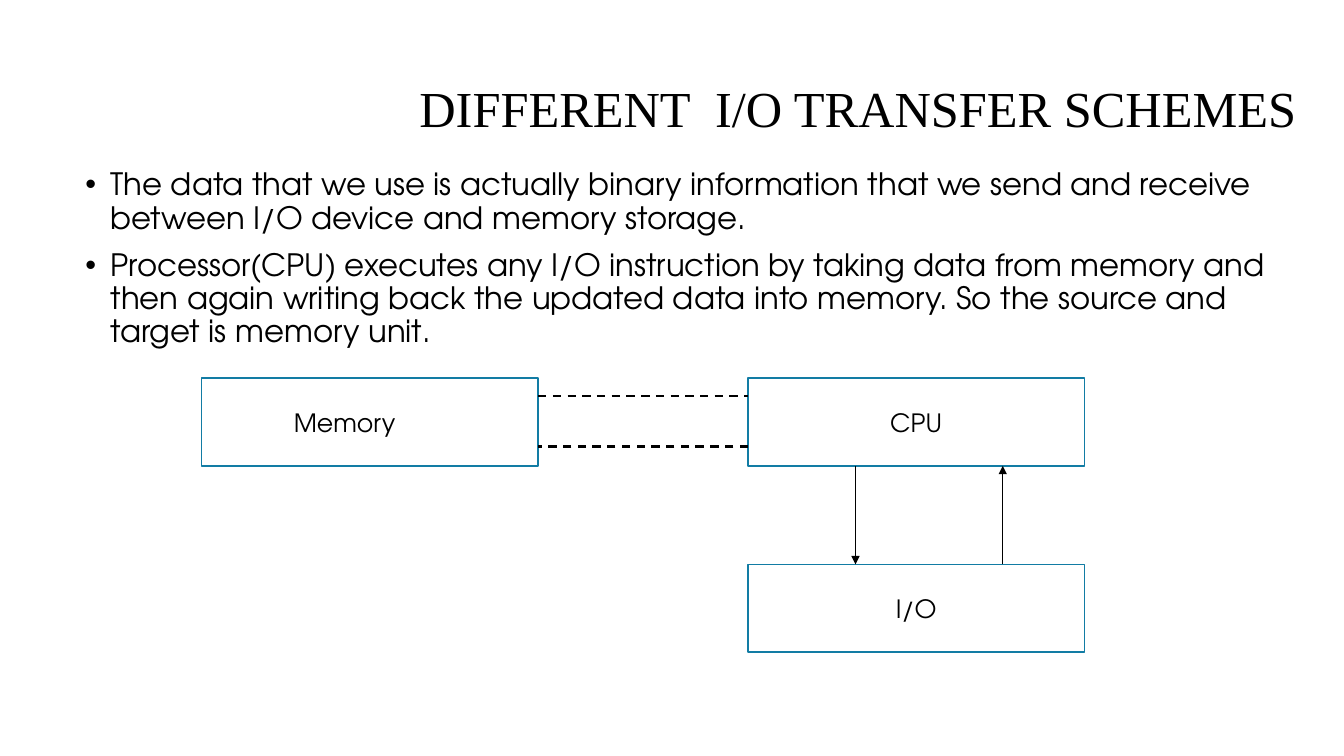
from lxml.etree import SubElement
from pptx import Presentation
from pptx.dml.color import RGBColor
from pptx.enum.dml import MSO_LINE
from pptx.enum.shapes import MSO_CONNECTOR, MSO_SHAPE
from pptx.enum.text import MSO_ANCHOR, MSO_AUTO_SIZE, PP_ALIGN
from pptx.oxml.ns import qn
from pptx.util import Cm, Pt

COLOURS = {"text": "000000", "box": "FFFFFF", "border": "127CA4"}
BODY_FONT = "TeX Gyre Adventor"


def colour(name):
    return RGBColor.from_string(COLOURS[name])


def add_run(paragraph, text, size, font=BODY_FONT):
    run = paragraph.add_run()
    run.text = text
    run.font.size = Pt(size)
    run.font.name = font
    run.font.color.rgb = colour("text")


presentation = Presentation()
presentation.slide_width = Cm(33.87)
presentation.slide_height = Cm(19.05)
slide = presentation.slides.add_slide(presentation.slide_layouts[5])

# Title
title = slide.shapes.title
title.left, title.top, title.width, title.height = Cm(9.32), Cm(1.68), Cm(23.93), Cm(3.58)
frame = title.text_frame
frame.auto_size = MSO_AUTO_SIZE.NONE
frame.vertical_anchor = MSO_ANCHOR.MIDDLE
frame.margin_right = Cm(0.57)
frame.margin_bottom = Cm(1.44)
paragraph = frame.paragraphs[0]
paragraph.alignment = PP_ALIGN.RIGHT
paragraph.line_spacing = 0.9
add_run(paragraph, "DIFFERENT  I/O TRANSFER SCHEMES", 36, "Times New Roman")

# Bulleted explanation
points = [
    "The data that we use is actually binary information that we send and receive "
    "between I/O device and memory storage.",
    "Processor(CPU) executes any I/O instruction by taking data from memory and then "
    "again writing back the updated data into memory. So the source and target is memory unit.",
]
body = slide.shapes.add_textbox(Cm(1.9), Cm(4.14), Cm(30.71), Cm(13.44))
frame = body.text_frame
frame.word_wrap = True
for index, point in enumerate(points):
    paragraph = frame.add_paragraph() if index else frame.paragraphs[0]
    paragraph.line_spacing = 0.9
    paragraph.space_before = Pt(10)
    properties = paragraph._p.get_or_add_pPr()
    properties.set("marL", str(Cm(0.64)))
    properties.set("indent", str(-Cm(0.64)))
    SubElement(properties, qn("a:buFont"), typeface="Arial")
    SubElement(properties, qn("a:buChar"), char="•")
    add_run(paragraph, point, 22)

# Units of the diagram
box_width, box_height = 8.48, 2.21
memory_left, cpu_left = 5.08, 18.85
upper_top, lower_top = 9.53, 14.22
units = [
    ("Memory", memory_left, upper_top, 1.52),
    ("I/O", cpu_left, lower_top, 0.25),
    ("CPU", cpu_left, upper_top, 0.25),
]
for name, left, top, right_margin in units:
    box = slide.shapes.add_shape(
        MSO_SHAPE.RECTANGLE, Cm(left), Cm(top), Cm(box_width), Cm(box_height))
    box.shadow.inherit = False
    box.fill.solid()
    box.fill.fore_color.rgb = colour("box")
    box.line.color.rgb = colour("border")
    box.line.width = Pt(1)
    frame = box.text_frame
    frame.vertical_anchor = MSO_ANCHOR.MIDDLE
    frame.margin_right = Cm(right_margin)
    paragraph = frame.paragraphs[0]
    paragraph.alignment = PP_ALIGN.CENTER
    add_run(paragraph, name, 18)

# Transfers: arrows between CPU and I/O, dashed lines between memory and CPU
memory_right = memory_left + box_width
cpu_bottom = upper_top + box_height
transfers = [
    (21.56, cpu_bottom, 21.56, lower_top, True),
    (25.27, lower_top, 25.27, cpu_bottom, True),
    (memory_right, 9.98, cpu_left, 9.98, False),
    (cpu_left, 11.25, memory_right, 11.25, False),
]
for start_x, start_y, end_x, end_y, is_arrow in transfers:
    connector = slide.shapes.add_connector(
        MSO_CONNECTOR.STRAIGHT, Cm(start_x), Cm(start_y), Cm(end_x), Cm(end_y))
    connector.line.color.rgb = colour("text")
    if is_arrow:
        connector.line.width = Pt(0.75)
        SubElement(connector.line._get_or_add_ln(), qn("a:tailEnd"), type="triangle")
    else:
        connector.line.width = Pt(1.5)
        connector.line.dash_style = MSO_LINE.DASH
    SubElement(connector._element.spPr, qn("a:effectLst"))

presentation.save("out.pptx")
